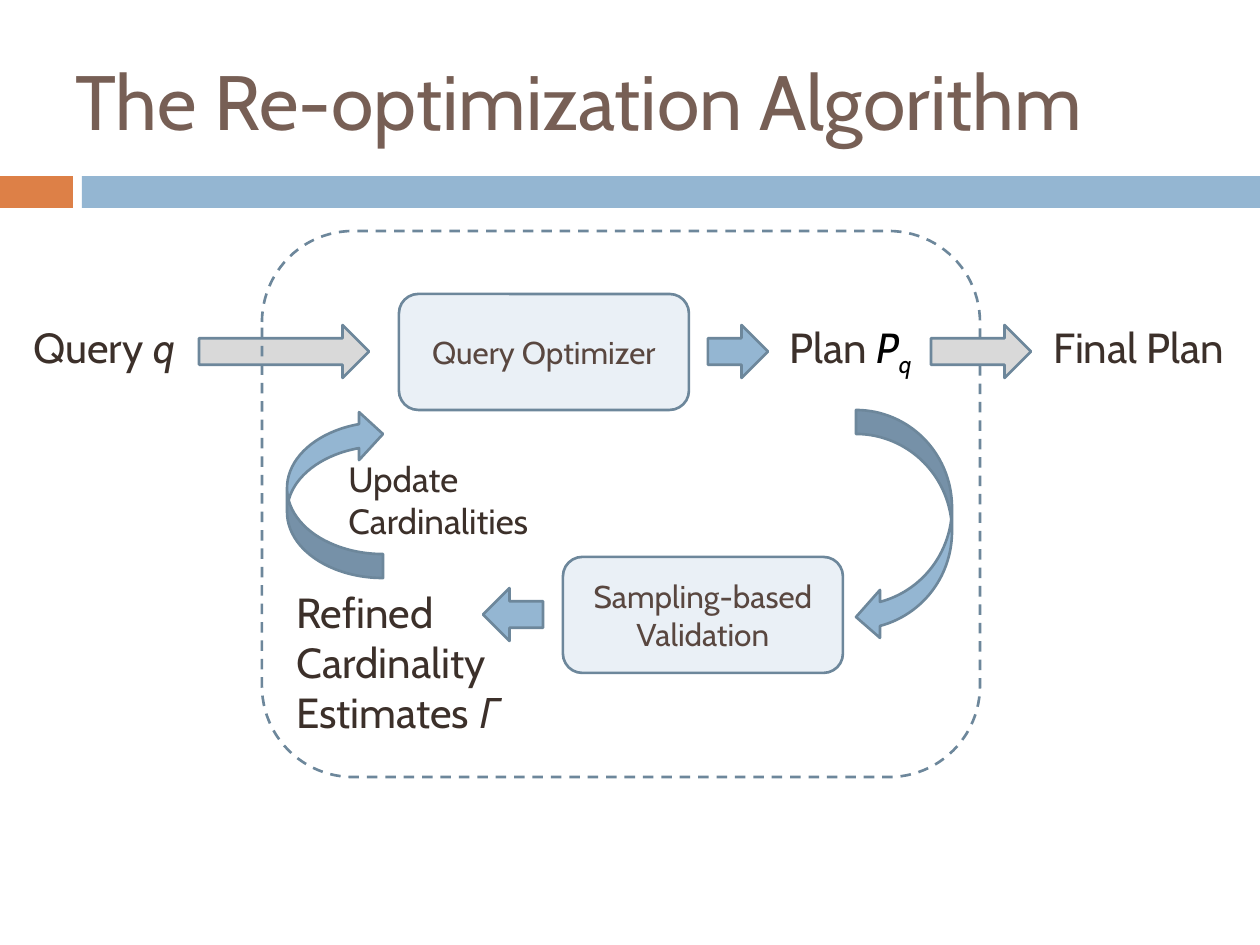
from pptx import Presentation
from pptx.dml.color import RGBColor
from pptx.enum.dml import MSO_LINE
from pptx.enum.shapes import MSO_SHAPE
from pptx.enum.text import MSO_ANCHOR, PP_ALIGN
from pptx.util import Emu, Pt

RECT = MSO_SHAPE.RECTANGLE
ROUNDED = MSO_SHAPE.ROUNDED_RECTANGLE
RIGHT = MSO_SHAPE.RIGHT_ARROW
CURVED = MSO_SHAPE.CURVED_LEFT_ARROW
DASH = MSO_LINE.DASH
MIDDLE = MSO_ANCHOR.MIDDLE
CENTER = PP_ALIGN.CENTER

FONT = "Cabin"
ORANGE, BLUE, PALE, GREY = "DD8047", "94B6D2", "EAF0F6", "D9D9D9"
OUTLINE, TITLE, DARK, BROWN = "6D879B", "775F55", "3C302A", "594740"
PX = 914400 / 126


def add_figure(kind, bounds, fill=None, line=OUTLINE, rotation=0):
    shape = page.shapes.add_shape(kind, *[Emu(round(n * PX)) for n in bounds])
    shape.shadow.inherit = False
    shape.rotation = rotation
    if fill:
        shape.fill.solid()
        shape.fill.fore_color.rgb = RGBColor.from_string(fill)
    else:
        shape.fill.background()
    if line:
        shape.line.color.rgb = RGBColor.from_string(line)
        shape.line.width = Pt(1.5)
    else:
        shape.line.fill.background()
    return shape


def write(box, paragraphs, size, color):
    """Fill a shape with paragraphs, each a list of (text, is_italic) runs."""
    frame = box.text_frame
    frame.word_wrap = True
    for index, runs in enumerate(paragraphs):
        para = frame.add_paragraph() if index else frame.paragraphs[0]
        para.font.name = FONT
        para.font.size = Pt(size)
        para.font.color.rgb = RGBColor.from_string(color)
        for text, italic in runs:
            span = para.add_run()
            span.text = text
            if italic:
                span.font.italic = True
    return frame


deck = Presentation()
deck.slide_width = Emu(round(1260 * PX))
deck.slide_height = Emu(round(945 * PX))
page = deck.slides.add_slide(deck.slide_layouts[6])

# Title and the bar below it
add_figure(RECT, (0, 176, 73, 32), ORANGE, line=None)
add_figure(RECT, (82, 176, 1178, 32), BLUE, line=None)

# Arrows of the loop, and the arrow leading in
add_figure(CURVED, (856, 410, 96, 231), BLUE)
add_figure(CURVED, (287, 410, 96, 168), BLUE, rotation=180)
add_figure(RIGHT, (483, 588, 60, 53), BLUE, rotation=180)
add_figure(RIGHT, (708, 325, 60, 53), BLUE)
add_figure(RIGHT, (199, 325, 170, 53), GREY)

# The two steps
for bounds, name in [
    ((399, 294, 290, 116), "Query Optimizer"),
    ((563, 557, 280, 116), "Sampling-based Validation"),
]:
    step = add_figure(ROUNDED, bounds, PALE)
    frame = write(step, [[(name, False)]], 18, BROWN)
    frame.vertical_anchor = MIDDLE
    frame.paragraphs[0].alignment = CENTER

# Loop boundary, and the arrow leading out
boundary = add_figure(ROUNDED, (262, 231, 718, 546))
boundary.line.dash_style = DASH
add_figure(RIGHT, (931, 325, 100, 53), GREY)

# Labels
labels = {}
for key, bounds, paragraphs, size, color in [
    ("title", (63, 21, 1134, 158), [[("The Re-optimization Algorithm", False)]], 44, TITLE),
    ("query", (21, 315, 219, 63), [[("Query ", False), ("q", True)]], 24, DARK),
    ("plan", (777, 315, 219, 63), [[("Plan ", False), ("P", True), ("q", True)]], 24, DARK),
    ("final", (1041, 315, 219, 63), [[("Final Plan", False)]], 24, DARK),
    ("refined", (284, 580, 260, 165),
     [[("Refined", False)], [("Cardinality Estimates ", False), ("Γ", True)]], 24, DARK),
    ("update", (336, 451, 208, 97),
     [[("Update", False)], [("Cardinalities", False)]], 20, DARK),
]:
    box = page.shapes.add_textbox(*[Emu(round(n * PX)) for n in bounds])
    labels[key] = write(box, paragraphs, size, color)

labels["title"].vertical_anchor = MIDDLE
symbol, subscript = labels["plan"].paragraphs[0].runs[1:]
for span in (symbol, subscript):
    span.font.color.rgb = RGBColor.from_string("000000")
subscript._r.get_or_add_rPr().set("baseline", "-25000")

deck.save("out.pptx")
